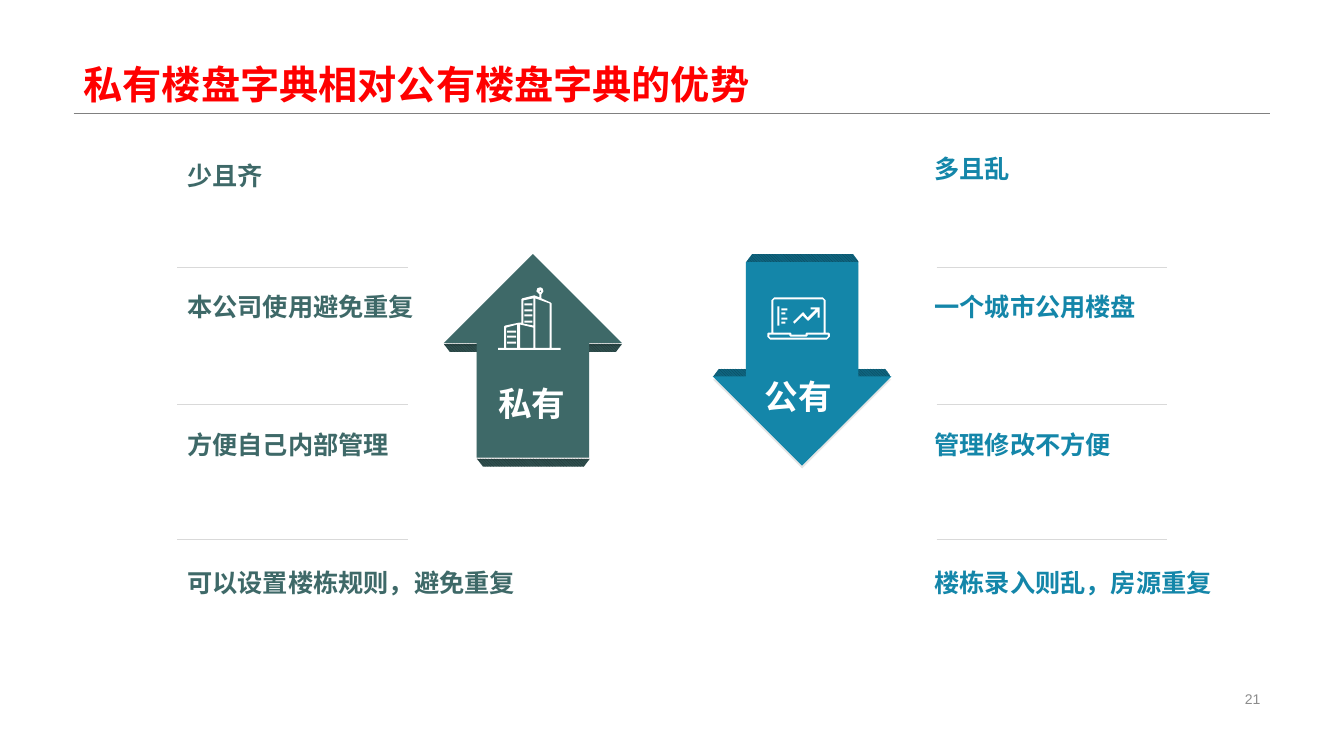
from dataclasses import dataclass

from lxml.etree import SubElement
from pptx import Presentation
from pptx.dml.color import RGBColor
from pptx.enum.dml import MSO_PATTERN
from pptx.enum.shapes import MSO_CONNECTOR, MSO_SHAPE
from pptx.enum.text import MSO_ANCHOR, PP_ALIGN
from pptx.oxml.ns import qn
from pptx.util import Emu, Pt

PX = 9144  # 100 px to the inch
FONT = "Arial"
COLOURS = {
    "title": "FF0000", "title_rule": "808080", "item_rule": "D9D9D9",
    "page": "8C8C8C", "white": "FFFFFF", "shadow": "000000",
    "private": "3E6968", "private_edge": "1F3434", "private_edge_back": "2F4F4E",
    "public": "1486A9", "public_edge": "0A4354", "public_edge_back": "0F647F",
}
RULE_TOPS = (265, 401, 535)
Points = list[tuple[int, int]]


@dataclass(frozen=True)
class Box:
    left: int
    top: int
    width: int
    height: int

    def emu(self) -> tuple[Emu, ...]:
        return tuple(Emu(n * PX) for n in (self.left, self.top, self.width, self.height))


@dataclass(frozen=True)
class Item:
    text: str
    box: Box


@dataclass(frozen=True)
class Dictionary:
    """One side of the comparison: its arrow, icon, label and points."""
    colour: str
    arrow_kind: MSO_SHAPE
    arrow: Box
    edges: tuple[Box, Box]
    edge_turn: int
    icon: list[Points]
    label: Item
    items: tuple[Item, ...]
    rule_left: int
    rule_right: int


def rgb(name: str) -> RGBColor:
    return RGBColor.from_string(COLOURS[name])


def bar(left: int, top: int, right: int, bottom: int) -> Points:
    return [(left, top), (right, top), (right, bottom), (left, bottom)]


BUILDINGS = [
    [(536, 285), (538, 286), (539, 289), (537, 292), (537, 296), (546, 300),
     (547, 301), (547, 345), (556, 345), (556, 347), (494, 347), (494, 345),
     (500, 345), (500, 324), (501, 323), (515, 320), (517, 320), (517, 297),
     (518, 296), (530, 293), (535, 295), (535, 292), (532, 289), (533, 286)],
    [(536, 288), (535, 289), (536, 290), (537, 289)],
    [(531, 296), (531, 345), (545, 345), (545, 301)],
    [(529, 296), (519, 298), (519, 321), (529, 323)],
    [(516, 322), (516, 345), (529, 345), (529, 325)],
    [(513, 322), (502, 325), (502, 345), (513, 345)],
    *[bar(503, top, 512, top + 2) for top in (328, 333, 339)],
    *[bar(520, top, 528, top + 2) for top in (301, 307, 312, 318)],
]
LAPTOP = [
    [(768, 295), (816, 295), (819, 298), (819, 330), (822, 330), (823, 331),
     (823, 334), (820, 337), (764, 337), (761, 334), (761, 331), (762, 330),
     (765, 330), (765, 298)],
    [(768, 297), (767, 298), (767, 330), (784, 330), (785, 331), (785, 332),
     (799, 332), (799, 331), (800, 330), (817, 330), (817, 298), (816, 297)],
    [(763, 332), (763, 334), (764, 335), (820, 335), (821, 334), (821, 332),
     (801, 332), (801, 333), (800, 334), (784, 334), (783, 333), (783, 332)],
    [(804, 305), (813, 305), (813, 315), (811, 315), (811, 309), (802, 318),
     (801, 318), (796, 313), (788, 321), (787, 320), (787, 319), (796, 310),
     (797, 310), (801, 315), (809, 307), (804, 307)],
    bar(771, 304, 773, 323),
    *[bar(775, top, right, top + 2)
      for top, right in ((306, 781), (310, 779), (315, 781), (319, 779))],
]

DICTIONARIES = (
    Dictionary(
        "private", MSO_SHAPE.UP_ARROW, Box(440, 252, 177, 202),
        (Box(440, 341, 177, 8), Box(473, 455, 112, 8)), 180, BUILDINGS,
        Item("私有", Box(438, 364, 179, 71)),
        (Item("少且齐", Box(176, 154, 240, 38)),
         Item("本公司使用避免重复", Box(176, 284, 246, 38)),
         Item("方便自己内部管理", Box(176, 421, 225, 80)),
         Item("可以设置楼栋规则，避免重复", Box(176, 558, 354, 38))),
        176, 405),
    Dictionary(
        "public", MSO_SHAPE.DOWN_ARROW, Box(707, 260, 177, 202),
        (Box(707, 366, 177, 8), Box(740, 252, 112, 8)), 0, LAPTOP,
        Item("公有", Box(742, 364, 100, 57)),
        (Item("多且乱", Box(917, 147, 240, 38)),
         Item("一个城市公用楼盘", Box(917, 284, 240, 38)),
         Item("管理修改不方便", Box(917, 421, 240, 38)),
         Item("楼栋录入则乱，房源重复", Box(917, 558, 296, 38))),
        929, 1157),
)


def write(frame, text: str, size: int, colour: str, align: PP_ALIGN,
          anchor: MSO_ANCHOR, bold: bool = True, wrap: bool = False) -> None:
    frame.word_wrap = wrap
    frame.vertical_anchor = anchor
    paragraph = frame.paragraphs[0]
    paragraph.alignment = align
    run = paragraph.add_run()
    run.text = text
    run.font.name, run.font.size, run.font.bold = FONT, Pt(size), bold
    run.font.color.rgb = rgb(colour)


def add_rule(shapes, left: int, right: int, top: int, colour: str) -> None:
    rule = shapes.add_connector(MSO_CONNECTOR.STRAIGHT, *Box(left, top, right, top).emu())
    rule.line.color.rgb = rgb(colour)
    rule.line.width = Pt(0.25)
    SubElement(rule._element.spPr, qn("a:effectLst"))


def add_edge(shapes, box: Box, turn: int, colour: str) -> None:
    edge = shapes.add_shape(MSO_SHAPE.TRAPEZOID, *box.emu())
    edge.adjustments[0] = 0.75
    edge.rotation = turn
    edge.fill.patterned()
    edge.fill.pattern = MSO_PATTERN.DARK_DOWNWARD_DIAGONAL
    edge.fill.fore_color.rgb = rgb(f"{colour}_edge")
    edge.fill.back_color.rgb = rgb(f"{colour}_edge_back")
    edge.line.fill.background()
    edge.shadow.inherit = False


def add_arrow(shapes, kind: MSO_SHAPE, box: Box, colour: str) -> None:
    arrow = shapes.add_shape(kind, *box.emu())
    arrow.adjustments[0], arrow.adjustments[1] = 0.63, 0.5
    arrow.fill.solid()
    arrow.fill.fore_color.rgb = rgb(colour)
    arrow.line.fill.background()
    arrow.shadow.inherit = False
    effects = arrow._element.spPr.find(qn("a:effectLst"))
    shadow = SubElement(effects, qn("a:outerShdw"), blurRad="0", dist=str(Pt(2)),
                        dir="5400000", algn="t", rotWithShape="0")
    tint = SubElement(shadow, qn("a:srgbClr"), val=COLOURS["shadow"])
    SubElement(tint, qn("a:alpha"), val="10000")


def add_icon(shapes, contours: list[Points]) -> None:
    first, *others = contours
    builder = shapes.build_freeform(*first[0], scale=PX)
    builder.add_line_segments(first[1:], close=True)
    for contour in others:
        builder.move_to(*contour[0])
        builder.add_line_segments(contour[1:], close=True)
    icon = builder.convert_to_shape()
    icon.fill.solid()
    icon.fill.fore_color.rgb = rgb("white")
    icon.line.fill.background()
    icon.shadow.inherit = False


def add_dictionary(shapes, side: Dictionary) -> None:
    for edge in side.edges:
        add_edge(shapes, edge, side.edge_turn, side.colour)
    add_arrow(shapes, side.arrow_kind, side.arrow, side.colour)
    add_icon(shapes, side.icon)
    label = shapes.add_textbox(*side.label.box.emu())
    write(label.text_frame, side.label.text, 24, "white", PP_ALIGN.CENTER, MSO_ANCHOR.MIDDLE)
    for item in side.items:
        point = shapes.add_textbox(*item.box.emu())
        write(point.text_frame, item.text, 18, side.colour, PP_ALIGN.LEFT, MSO_ANCHOR.TOP)
    for top in RULE_TOPS:
        add_rule(shapes, side.rule_left, side.rule_right, top, "item_rule")


def main() -> None:
    deck = Presentation()
    deck.slide_width, deck.slide_height = Emu(1333 * PX), Emu(750 * PX)
    shapes = deck.slides.add_slide(deck.slide_layouts[5]).shapes
    title = shapes.title
    title.left, title.top, title.width, title.height = Box(73, 0, 1187, 112).emu()
    write(title.text_frame, "私有楼盘字典相对公有楼盘字典的优势", 28, "title",
          PP_ALIGN.LEFT, MSO_ANCHOR.BOTTOM, wrap=True)
    title.text_frame.paragraphs[0].line_spacing = 0.9
    add_rule(shapes, 73, 1260, 112, "title_rule")
    for side in DICTIONARIES:
        add_dictionary(shapes, side)
    page = shapes.add_textbox(*Box(942, 682, 318, 23).emu())
    write(page.text_frame, "21", 10, "page", PP_ALIGN.RIGHT, MSO_ANCHOR.MIDDLE,
          bold=False, wrap=True)
    deck.save("out.pptx")


if __name__ == "__main__":
    main()
